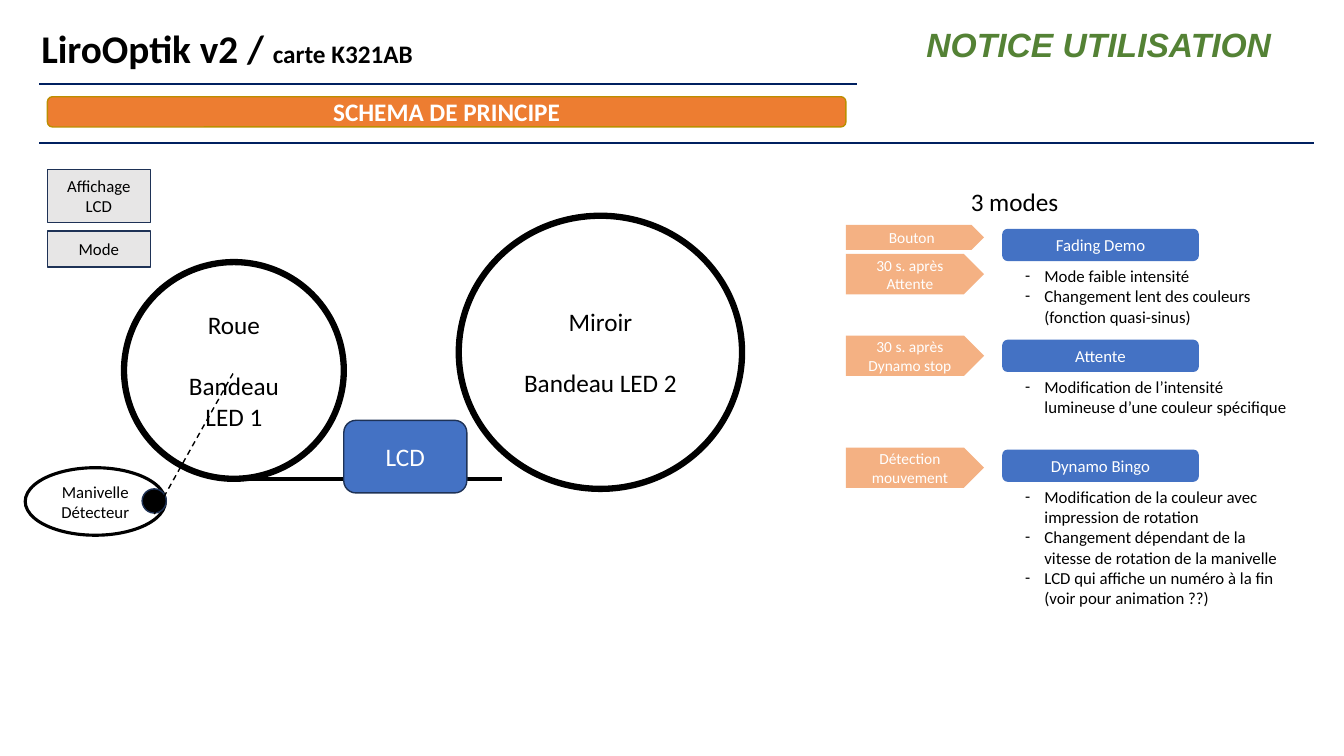
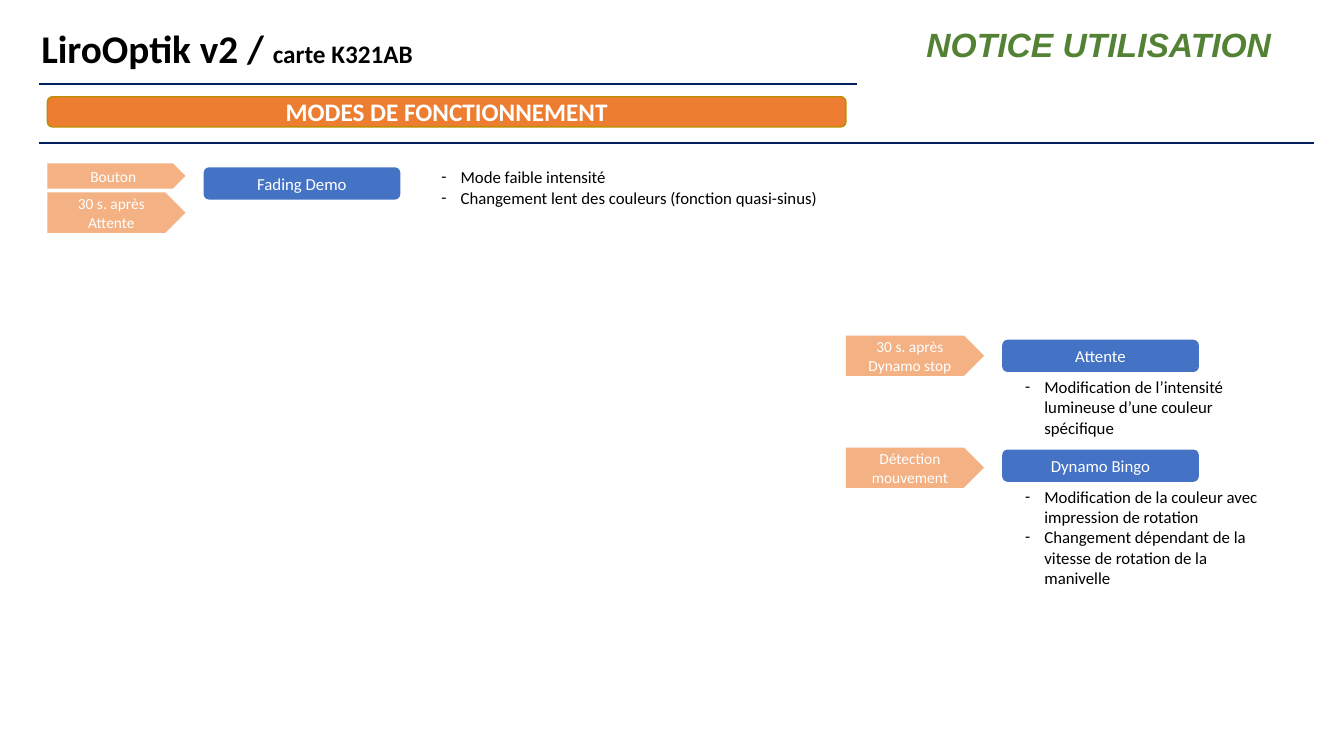
import dataclasses

import lxml.etree
import pptx
import pptx.dml.color
import pptx.enum.dml
import pptx.enum.shapes
import pptx.enum.text
import pptx.oxml.ns
import pptx.util

PX = 9144  # EMU in one px, 100 px to the inch
KIND = pptx.enum.shapes.MSO_SHAPE
ALIGN = pptx.enum.text.PP_ALIGN


@dataclasses.dataclass(frozen=True)
class Theme:
    font: str = "Calibri"
    accent: str = "Arial"
    ink: str = "000000"
    paper: str = "FFFFFF"
    navy: str = "002060"
    green: str = "548235"
    orange: str = "ED7D31"
    gold: str = "BC8E00"
    peach: str = "F4B183"
    blue: str = "4472C4"
    edge: str = "1E3256"
    gray: str = "E7E6E6"
    title: int = 28
    notice: int = 24
    head: int = 18
    body: int = 12
    small: int = 11


T = Theme()

# name: (triggers as (text, offset from the pill, height), points)
MODES = {
    "Fading Demo": (
        [("Bouton", -4, 25), ("30 s. après Attente", 25, 40)],
        ["Mode faible intensité",
         "Changement lent des couleurs (fonction quasi-sinus)"],
    ),
    "Attente": (
        [("30 s. après Dynamo stop", -4, 40)],
        ["Modification de l’intensité lumineuse d’une couleur spécifique"],
    ),
    "Dynamo Bingo": (
        [("Détection mouvement", -2, 40)],
        ["Modification de la couleur avec impression de rotation",
         "Changement dépendant de la vitesse de rotation de la manivelle",
         "LCD qui affiche un numéro à la fin (voir pour animation ??)"],
    ),
}


def emu(*sizes):
    return [pptx.util.Emu(size * PX) for size in sizes]


def color(code):
    return pptx.dml.color.RGBColor.from_string(code)


def write(para, text, size, ink=T.ink, **extra):
    """Add a run to the paragraph, with its font format."""
    run = para.add_run()
    run.text = text
    look = {"name": T.font, "size": pptx.util.Pt(size), **extra}
    for key, value in look.items():
        setattr(run.font, key, value)
    run.font.color.rgb = color(ink)


def fill_text(frame, lines, size, ink=T.ink, align=ALIGN.LEFT, gap=0, **extra):
    """Write one paragraph a line, with a gap in points after the first."""
    for i, line in enumerate(lines):
        para = frame.add_paragraph() if i else frame.paragraphs[0]
        para.alignment = align
        if i == 1 and gap:
            para.space_before = pptx.util.Pt(gap)
        write(para, line, size, ink, **extra)


def shape(slide, kind, box, fill, edge=None, width=1, lines=(), size=T.body,
          ink=T.ink, **extra):
    item = slide.shapes.add_shape(kind, *emu(*box))
    item.shadow.inherit = False
    item.fill.solid()
    item.fill.fore_color.rgb = color(fill)
    if edge:
        item.line.color.rgb = color(edge)
        item.line.width = pptx.util.Pt(width)
    else:
        item.line.fill.background()
    fill_text(item.text_frame, lines, size, ink, ALIGN.CENTER, **extra)


def line(slide, start, end, ink, width, dash=None):
    item = slide.shapes.add_connector(
        pptx.enum.shapes.MSO_CONNECTOR.STRAIGHT, *emu(*start, *end))
    item.line.color.rgb = color(ink)
    item.line.width = pptx.util.Pt(width)
    if dash:
        item.line.dash_style = dash
    lxml.etree.SubElement(item._element.spPr,
                          pptx.oxml.ns.qn("a:effectLst"))


def label(slide, box, lines, size=T.body, wrap=False, **extra):
    frame = slide.shapes.add_textbox(*emu(*box)).text_frame
    frame.word_wrap = wrap
    fill_text(frame, lines, size, **extra)
    return frame


def points(slide, box, lines):
    """Add a list with a dash before each point."""
    frame = label(slide, box, lines, wrap=True)
    for para in frame.paragraphs:
        props = para._p.get_or_add_pPr()
        props.set("marL", str(19 * PX))
        props.set("indent", str(-19 * PX))
        for tag, key, value in (("a:buFont", "typeface", T.font),
                                ("a:buChar", "char", "-")):
            mark = lxml.etree.SubElement(props, pptx.oxml.ns.qn(tag))
            mark.set(key, value)


def mode(slide, name, left, top, box, count=None):
    """Draw a mode: its pill, its triggers and its first points."""
    cues, notes = MODES[name]
    shape(slide, KIND.ROUNDED_RECTANGLE, (left, top, 195, 32), T.blue,
          lines=[name], ink=T.paper)
    for text, shift, high in cues:
        shape(slide, KIND.PENTAGON, (left - 155, top + shift, 137, high),
              T.peach, lines=[text], size=T.small, ink=T.paper)
    points(slide, box, notes[:count])


def page(deck, banner):
    """Add a slide with the shared title, rules and banner."""
    slide = deck.slides.add_slide(deck.slide_layouts[5])
    title = slide.shapes.title
    place = dict(zip(("left", "top", "width", "height"),
                     emu(31, 19, 600, 57)))
    for key, value in place.items():
        setattr(title, key, value)
    frame = title.text_frame
    look = {"word_wrap": True,
            "auto_size": pptx.enum.text.MSO_AUTO_SIZE.NONE,
            "vertical_anchor": pptx.enum.text.MSO_ANCHOR.TOP}
    for key, value in look.items():
        setattr(frame, key, value)
    para = frame.paragraphs[0]
    para.alignment = ALIGN.LEFT
    write(para, "LiroOptik v2 / ", T.title, bold=True)
    write(para, "carte K321AB", T.head, bold=True)
    label(slide, (909, 19, 365, 50), ["NOTICE UTILISATION"], T.notice,
          ink=T.green, name=T.accent, bold=True, italic=True)
    for right, top in ((850, 83), (1303, 142)):
        line(slide, (39, top), (right, top), T.navy, 1.5)
    shape(slide, KIND.ROUNDED_RECTANGLE, (47, 96, 792, 30), T.orange, T.gold,
          lines=[banner], size=T.head, ink=T.paper, bold=True)
    return slide


def scheme(slide):
    """Draw the machine: wheel, mirror, crank and screen."""
    for text, top, high in (("Affichage LCD", 168, 53), ("Mode", 229, 36)):
        shape(slide, KIND.RECTANGLE, (47, top, 102, high), T.gray, T.edge,
              lines=[text])
    for box, lines in (
            ((123, 260, 218, 215), ["Roue", "Bandeau", "LED 1"]),
            ((455, 214, 281, 271), ["Miroir", "Bandeau LED 2"])):
        shape(slide, KIND.OVAL, box, T.paper, T.ink, 4.5, lines, T.head,
              gap=22)
    shape(slide, KIND.OVAL, (25, 464, 139, 67), T.paper, T.ink, 2.25,
          ["Manivelle Détecteur"])
    line(slide, (232, 475), (498, 475), T.ink, 3)
    shape(slide, KIND.OVAL, (141, 485, 24, 24), T.ink, T.edge)
    line(slide, (153, 510), (232, 369), T.ink, 1,
         pptx.enum.dml.MSO_LINE.DASH)
    shape(slide, KIND.ROUNDED_RECTANGLE, (341, 417, 122, 72), T.blue, T.edge,
          lines=["LCD"], size=T.head, ink=T.paper)


def main():
    deck = pptx.Presentation()
    deck.slide_width, deck.slide_height = emu(1333, 750)

    slide = page(deck, "SCHEMA DE PRINCIPE")
    scheme(slide)
    label(slide, (953, 180, 108, 40), ["3 modes"], T.head)
    for name, top, high in (("Fading Demo", 227, 71), ("Attente", 337, 50),
                            ("Dynamo Bingo", 446, 151)):
        mode(slide, name, 994, top, (1007, top + 32, 288, high))

    slide = page(deck, "MODES DE FONCTIONNEMENT")
    mode(slide, "Fading Demo", 202, 166, (428, 161, 628, 50))
    for name, top, high in (("Attente", 337, 71), ("Dynamo Bingo", 446, 111)):
        mode(slide, name, 994, top, (1007, top + 32, 257, high), 2)

    deck.save("out.pptx")


if __name__ == "__main__":
    main()
